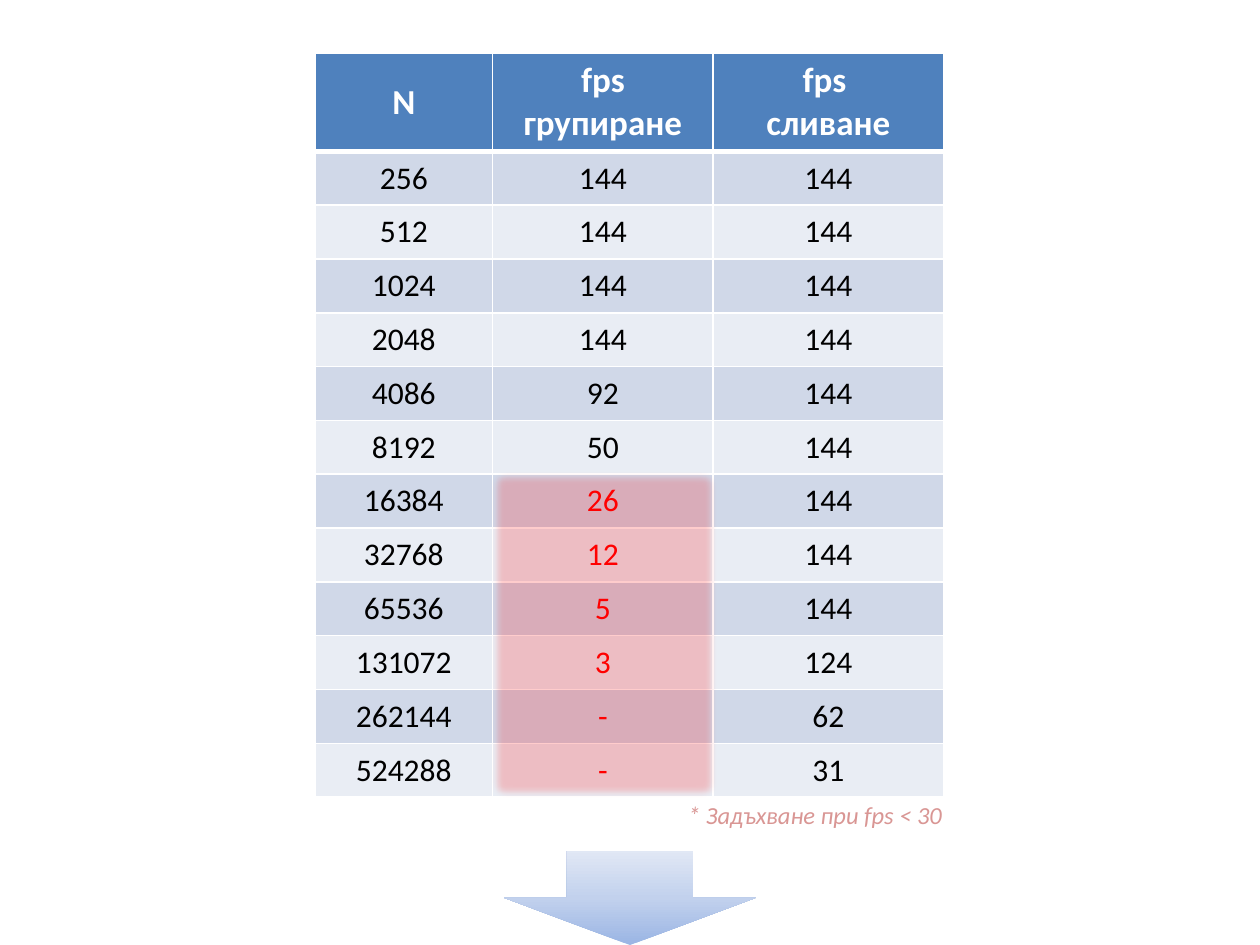
from lxml import etree
from pptx import Presentation
from pptx import util as u
from pptx.dml.color import RGBColor
from pptx.enum import shapes, text
from pptx.oxml import parse_xml
from pptx.oxml.ns import nsdecls, qn

WHITE = RGBColor(0xFF, 0xFF, 0xFF)
BLACK = RGBColor(0, 0, 0)
RED = RGBColor(0xFF, 0, 0)
ROSE = RGBColor(0xD9, 0x96, 0x94)
BLUE = RGBColor(0x4F, 0x81, 0xBD)
BANDS = RGBColor(0xD0, 0xD8, 0xE8), RGBColor(0xE9, 0xED, 0xF4)
SHADES = (
    (0, RGBColor(0x9A, 0xB5, 0xE4)),
    (50, RGBColor(0xC2, 0xD1, 0xED)),
    (100, RGBColor(0xE1, 0xE8, 0xF5)),
)

HEAD = ["N", "fps групиране", "fps \nсливане"]
SIZES = [256, 512, 1024, 2048, 4086, 8192, 16384, 32768, 65536,
         131072, 262144, 524288]
GROUP = [144] * 4 + [92, 50, 26, 12, 5, 3, "-", "-"]
MERGE = [144] * 9 + [124, 62, 31]
SLOW = 7  # first table row below 30 fps


class Deck:
    font = "Calibri"

    def __init__(self, slide):
        self.slide = slide

    def words(self, frame, value, **form):
        frame.text = value
        form = {"name": self.font, **form}
        for para in frame.paragraphs:
            para.alignment = text.PP_ALIGN.CENTER
            for run in para.runs:
                for key, item in form.items():
                    if key == "color":
                        run.font.color.rgb = item
                    else:
                        setattr(run.font, key, item)

    def edge(self, cell, top, base):
        props = cell._tc.get_or_add_tcPr()
        sides = {"lnL": 1, "lnR": 1, "lnT": top, "lnB": base}
        for spot, (side, width) in enumerate(sides.items()):
            props.insert(spot, parse_xml(
                f'<a:{side} {nsdecls("a")} w="{u.Pt(width)}"><a:solidFill>'
                f'<a:srgbClr val="{WHITE}"/></a:solidFill></a:{side}>'))

    def table(self, box, rows, cols, head):
        left, top, width, height = map(u.Inches, box)
        grid = self.slide.shapes.add_table(
            len(rows), len(cols), left, top, width, height).table
        for col, size in zip(grid.columns, cols):
            col.width = u.Inches(size)
        step = (box[3] - head) / (len(rows) - 1)
        for i, row in enumerate(rows):
            grid.rows[i].height = u.Inches(step if i else head)
            for j, value in enumerate(row):
                cell = grid.cell(i, j)
                cell.vertical_anchor = text.MSO_ANCHOR.MIDDLE
                cell.fill.solid()
                cell.fill.fore_color.rgb = BANDS[(i - 1) % 2] if i else BLUE
                self.edge(cell, 3 if i == 1 else 1, 1 if i else 3)
                if i == 0:
                    form = dict(size=u.Pt(20), bold=True, color=WHITE)
                else:
                    late = j == 1 and i >= SLOW
                    form = dict(size=u.Pt(18), bold=False,
                                color=RED if late else BLACK)
                self.words(cell.text_frame, str(value), **form)

    def label(self, box, value, **form):
        frame = self.slide.shapes.add_textbox(*map(u.Inches, box)).text_frame
        frame.word_wrap = False
        frame.auto_size = text.MSO_AUTO_SIZE.SHAPE_TO_FIT_TEXT
        self.words(frame, value, **form)

    def shape(self, kind, box):
        item = self.slide.shapes.add_shape(kind, *map(u.Inches, box))
        item.shadow.inherit = False
        item.line.fill.background()
        return item

    def arrow(self, box, shades):
        item = self.shape(shapes.MSO_SHAPE.DOWN_ARROW, box)
        stops = "".join(
            f'<a:gs pos="{at * 1000}"><a:srgbClr val="{tone}"/></a:gs>'
            for at, tone in shades)
        item.fill.gradient()
        item.fill.gradient_angle = 90
        old = item._element.spPr.find(qn("a:gradFill")).find(qn("a:gsLst"))
        old.getparent().replace(old, parse_xml(
            f'<a:gsLst {nsdecls("a")}>{stops}</a:gsLst>'))

    def glow(self, box, tone, alpha, soft):
        item = self.shape(shapes.MSO_SHAPE.RECTANGLE, box)
        item.fill.solid()
        item.fill.fore_color.rgb = tone
        props = item._element.spPr
        tint = props.find(qn("a:solidFill"))[0]
        etree.SubElement(tint, qn("a:alpha"), val=str(alpha * 1000))
        etree.SubElement(props.find(qn("a:effectLst")), qn("a:softEdge"),
                         rad=str(u.Pt(soft)))


def main():
    show = Presentation()
    show.slide_width, show.slide_height = u.Inches(10), u.Inches(7.5)
    deck = Deck(show.slides.add_slide(show.slide_layouts[6]))

    # Frame rates by problem size
    rows = [HEAD, *zip(SIZES, GROUP, MERGE)]
    deck.table((2.5, 0.42, 4.99, 5.82), rows, (1.41, 1.75, 1.83), 0.69)

    # Footnote
    deck.label((5.33, 6.3, 2.28, 0.34), "* Задъхване при fps < 30",
               size=u.Pt(14), italic=True, color=ROSE)

    # Arrow leading on
    deck.arrow((4, 6.75, 2, 0.75), SHADES)

    # Soft highlight over the slow rates
    deck.glow((3.86, 3.7, 1.87, 2.67), RED, 20, 5)

    show.save("out.pptx")


if __name__ == "__main__":
    main()
